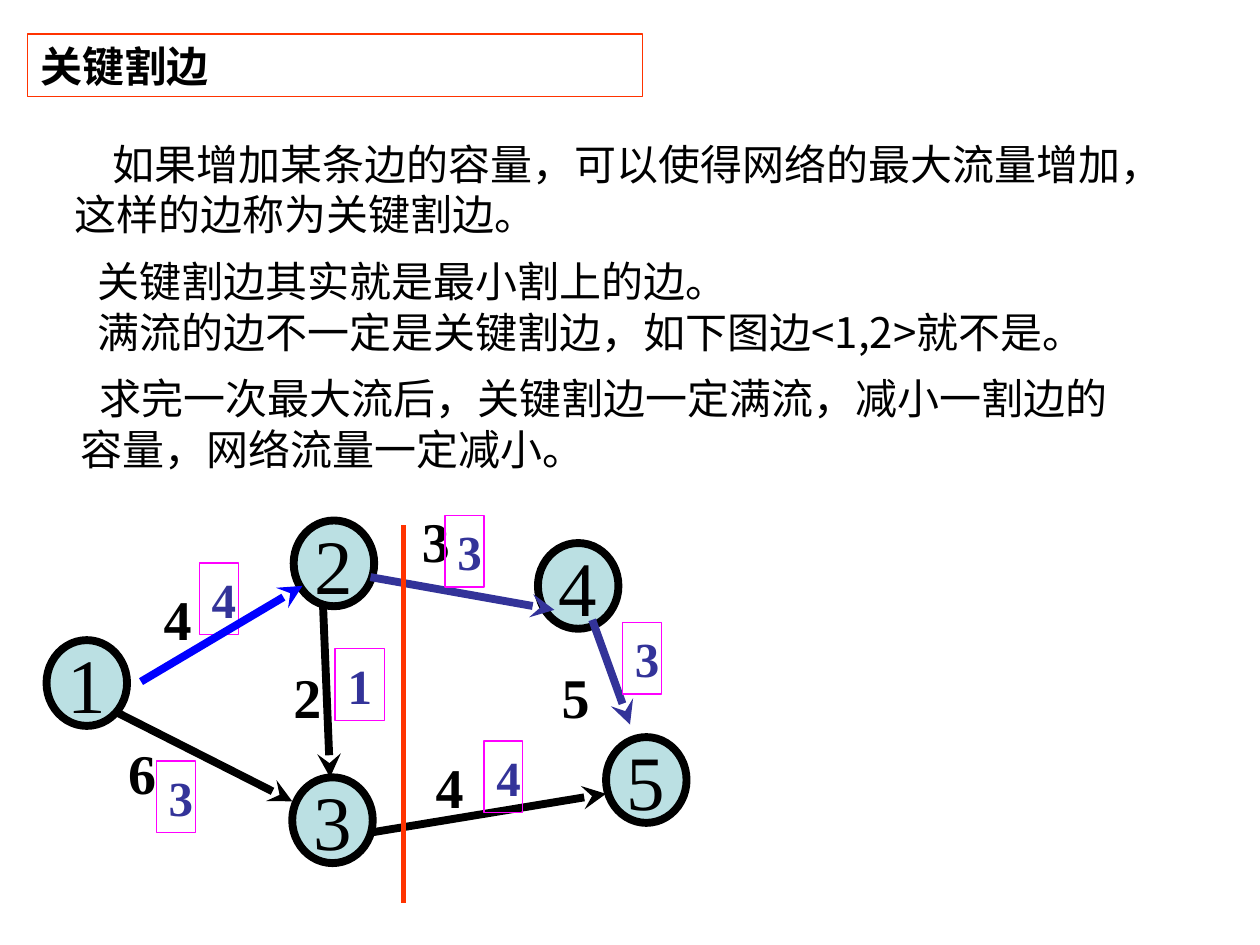
"""Build the slide on critical cut edges of a flow network."""
from dataclasses import dataclass

from lxml import etree
from pptx import Presentation
from pptx.dml.color import RGBColor
from pptx.enum.shapes import MSO_CONNECTOR, MSO_SHAPE
from pptx.enum.text import MSO_ANCHOR, PP_ALIGN
from pptx.oxml.ns import qn
from pptx.util import Pt

RECT, OVAL = MSO_SHAPE.RECTANGLE, MSO_SHAPE.OVAL
LINE = MSO_CONNECTOR.STRAIGHT
TOP, MIDDLE = MSO_ANCHOR.TOP, MSO_ANCHOR.MIDDLE
LEFT, CENTER = PP_ALIGN.LEFT, PP_ALIGN.CENTER
SANS, SERIF = "Noto Sans CJK SC", "Times New Roman"
BLACK, RED, PINK = "000000", "FF3300", "FF00FF"
BLUE, NAVY, PALE = "0000FF", "333399", "BBE0E3"


@dataclass(frozen=True)
class Font:
    name: str
    size: float
    color: str = BLACK
    bold: bool = False


@dataclass(frozen=True)
class Node:
    name: str
    x: float
    y: float


@dataclass(frozen=True)
class Edge:
    x1: float
    y1: float
    x2: float
    y2: float
    color: str = BLACK
    width: float = 4.5
    arrow: bool = True


@dataclass(frozen=True)
class Weight:
    text: str
    x: float
    y: float


@dataclass(frozen=True)
class Flow:
    text: str
    x: float
    y: float
    width: float = 22.3


@dataclass(frozen=True)
class Note:
    lines: tuple[str, ...]
    x: float
    y: float
    margin: float = 0
    indent: float = 0


HEAD = Font(SANS, 24, bold=True)
BODY = Font(SANS, 24)
NAME = Font(SERIF, 44)
COST = Font(SERIF, 32, bold=True)
LOAD = Font(SERIF, 28, NAVY, True)

NOTES = (
    Note(("如果增加某条边的容量，可以使得网络的最大流量增加，这样的边称为关键割边。",),
         35.3, 75.6, indent=22),
    Note(("关键割边其实就是最小割上的边。",
          "满流的边不一定是关键割边，如下图边<1,2>就不是。"), 26.6, 142.6, margin=22),
    Note(("求完一次最大流后，关键割边一定满流，减小一割边的容量，网络流量一定减小。",),
         38.9, 209.5, indent=11),
)

GRAPH = (
    Node("1", 26.6, 365.8),
    Node("4", 307.4, 310.3),
    Node("3", 167, 444.2),
    Node("5", 346.3, 421.2),
    Edge(66.2, 406.8, 167, 457.9),
    Edge(184.3, 338.4, 188.6, 444.2),
    Edge(211, 475.9, 346.3, 453.6),
    Weight("6", 66.2, 418.3),
    Weight("2", 160.6, 375.1),
    Weight("3", 234, 285.8),
    Weight("4", 241.9, 426.2),
    Flow("4", 113.8, 321.8),
    Flow("1", 191.5, 370.8, 28.1),
    Node("2", 167.8, 297.4),
    Edge(80.6, 389.5, 172.8, 334.8, BLUE),
    Edge(211.7, 329.8, 316.8, 348.5, NAVY),
    Edge(338.4, 354.2, 360, 414, NAVY),
    Weight("4", 86.4, 330.5),
    Weight("5", 313.9, 375.1),
    Flow("3", 254.2, 294.5),
    Flow("3", 355.7, 355.7),
    Flow("3", 89.3, 434.9),
    Flow("4", 276.5, 423.4),
    Edge(230.4, 300.2, 230.4, 516.2, RED, 3, False),
)


def tint(code: str) -> RGBColor:
    return RGBColor.from_string(code)


def write(frame, lines: tuple[str, ...], font: Font, align=LEFT):
    para = frame.paragraphs[0]
    para.alignment = align
    for i, text in enumerate(lines):
        if i:
            para.add_line_break()
        run = para.add_run()
        run.text = text
        run.font.name = font.name
        run.font.size = Pt(font.size)
        run.font.bold = font.bold
        run.font.color.rgb = tint(font.color)
        face = etree.SubElement(run.font._element, qn("a:ea"))
        face.set("typeface", font.name)
    return para


def draw_box(shapes, kind, x: float, y: float, w: float, h: float,
             line: str, width: float, fill: str | None = None):
    box = shapes.add_shape(kind, Pt(x), Pt(y), Pt(w), Pt(h))
    box.shadow.inherit = False
    if fill:
        box.fill.solid()
        box.fill.fore_color.rgb = tint(fill)
    else:
        box.fill.background()
    box.line.color.rgb = tint(line)
    box.line.width = Pt(width)
    box.text_frame.word_wrap = kind == RECT
    box.text_frame.vertical_anchor = TOP if kind == RECT else MIDDLE
    return box.text_frame


def draw_text(shapes, x: float, y: float, w: float, h: float):
    frame = shapes.add_textbox(Pt(x), Pt(y), Pt(w), Pt(h)).text_frame
    frame.word_wrap = True
    return frame


def draw_note(shapes, note: Note) -> None:
    para = write(draw_text(shapes, note.x, note.y, 620.6, 64.8), note.lines, BODY)
    props = para._p.get_or_add_pPr()
    props.set("marL", str(Pt(note.margin)))
    props.set("indent", str(Pt(note.indent)))


def draw_edge(shapes, edge: Edge) -> None:
    link = shapes.add_connector(LINE, Pt(edge.x1), Pt(edge.y1), Pt(edge.x2), Pt(edge.y2))
    link.line.color.rgb = tint(edge.color)
    link.line.width = Pt(edge.width)
    if edge.arrow:
        etree.SubElement(link.line._get_or_add_ln(), qn("a:tailEnd")).set("type", "stealth")
    etree.SubElement(link._element.spPr, qn("a:effectLst"))


def draw_part(shapes, part: Node | Edge | Weight | Flow) -> None:
    match part:
        case Node(name, x, y):
            write(draw_box(shapes, OVAL, x, y, 46, 49, BLACK, 4.5, PALE), (name,), NAME, CENTER)
        case Weight(text, x, y):
            write(draw_text(shapes, x, y, 26.3, 46), (text,), COST)
        case Flow(text, x, y, width):
            write(draw_box(shapes, RECT, x, y, width, 41, PINK, 0.75), (text,), LOAD)
        case Edge():
            draw_edge(shapes, part)


def main() -> None:
    deck = Presentation()
    deck.slide_width, deck.slide_height = Pt(720), Pt(540)
    shapes = deck.slides.add_slide(deck.slide_layouts[6]).shapes
    write(draw_box(shapes, RECT, 15.8, 19.4, 351.4, 36, RED, 0.75), ("关键割边",), HEAD)
    for note in NOTES:
        draw_note(shapes, note)
    for part in GRAPH:
        draw_part(shapes, part)
    deck.save("out.pptx")


if __name__ == "__main__":
    main()
